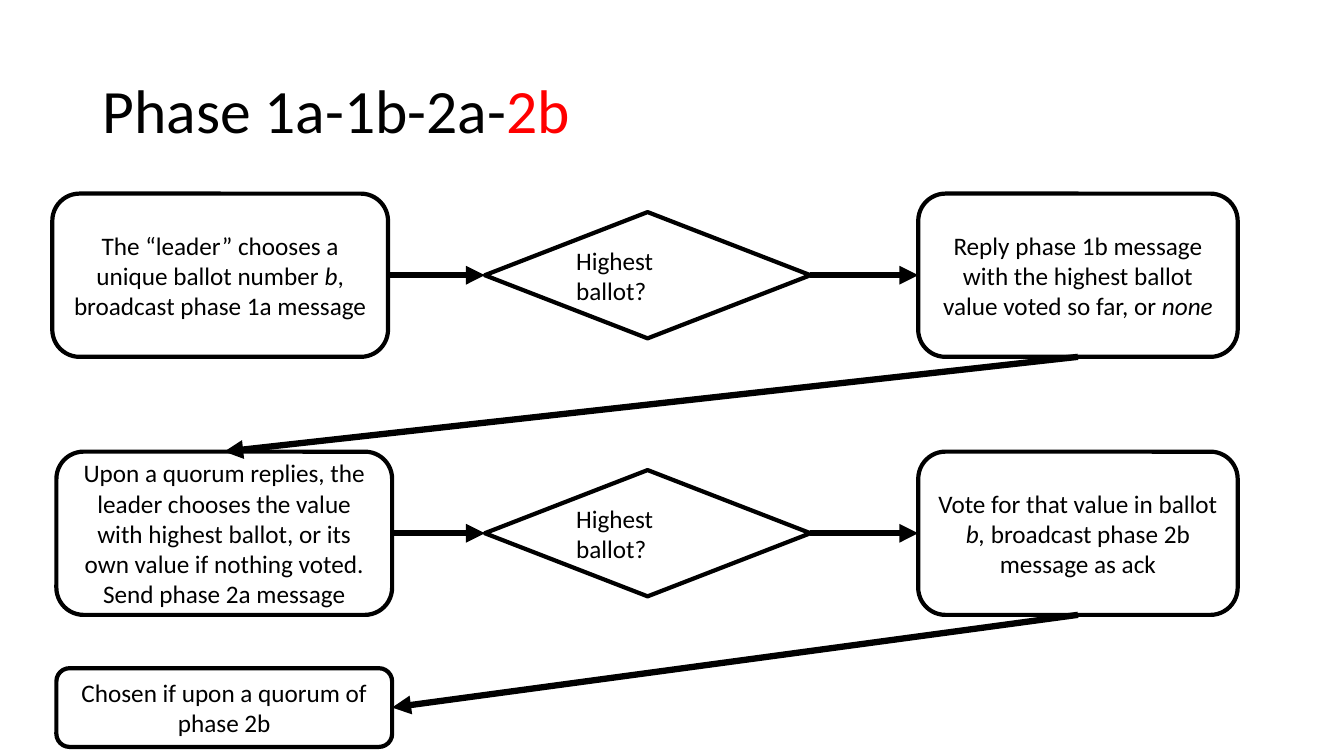
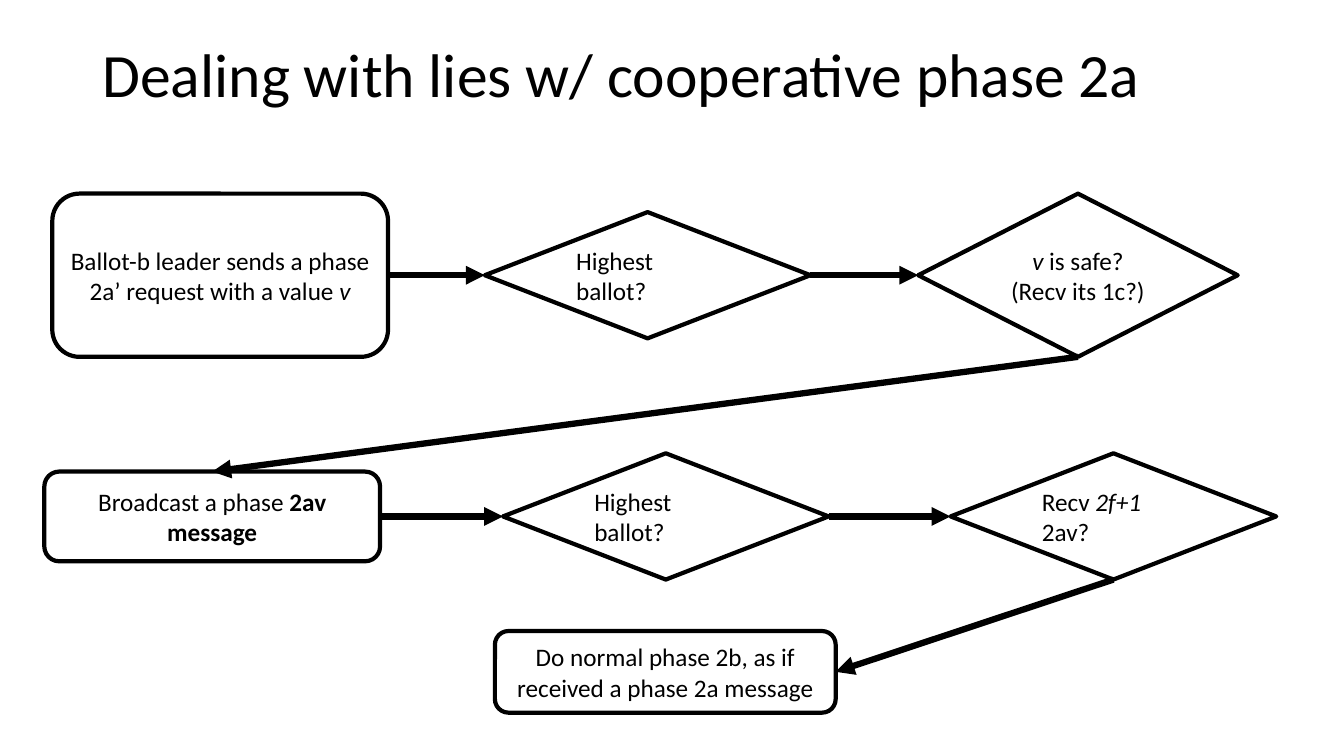
"""Build two flow-chart slides on the phases of a ballot protocol."""
from dataclasses import dataclass

import lxml.etree
import pptx
import pptx.dml.color
import pptx.enum.shapes
import pptx.enum.text
import pptx.oxml
import pptx.oxml.ns
import pptx.presentation
import pptx.shapes.autoshape
import pptx.slide
import pptx.text.text
import pptx.util

Pt = pptx.util.Pt
Kind = pptx.enum.shapes.MSO_SHAPE
Align = pptx.enum.text.PP_ALIGN

FONT = "Calibri"
INK = "000000"
ACCENT = "FF0000"
TITLE_SIZE = 44
STEP_SIZE = 18
OUTLINE = 3
ARROW = 4.5

FIRST_ROW = 196.6
BOX_WIDTH = 239.8
BOX_HEIGHT = 116.6
REPLY_WIDTH = 228.2
CHECK_WIDTH = 232.6
CHECK_HEIGHT = 90.2
START_LEFT = 37.4
CHECK_LEFT = 346.3
REPLY_LEFT = 655.9

TOP, LEFT, BOTTOM, RIGHT = range(4)


@dataclass(frozen=True)
class Words:
    text: str
    italic: bool = False
    bold: bool = False
    color: str = INK


@dataclass(frozen=True)
class Step:
    """One node of the flow, placed by its left edge and vertical middle."""
    left: float
    middle: float
    width: float
    height: float
    lines: tuple[tuple[Words, ...], ...]
    kind: Kind = Kind.ROUNDED_RECTANGLE
    align: Align = Align.CENTER


@dataclass(frozen=True)
class Arrow:
    """A link between two steps, given by name and connection site."""
    source: str
    target: str
    leave: int = RIGHT
    enter: int = LEFT


@dataclass(frozen=True)
class Flow:
    title: tuple[Words, ...]
    title_bottom_inset: float
    steps: dict[str, Step]
    arrows: tuple[Arrow, ...]


def rgb(value: str) -> pptx.dml.color.RGBColor:
    """Turn a hex string into a colour."""
    return pptx.dml.color.RGBColor.from_string(value)


def check(left: float, middle: float, *words: Words) -> Step:
    """Describe a decision with left-aligned words."""
    return Step(left, middle, CHECK_WIDTH, CHECK_HEIGHT,
                (words or (Words("Highest ballot?"),),),
                Kind.FLOWCHART_DECISION, Align.LEFT) if not words else Step(
                    left, middle, CHECK_WIDTH, CHECK_HEIGHT, (words,),
                    Kind.FLOWCHART_DECISION, Align.LEFT)


def box(left: float, middle: float, *words: Words,
        width: float = BOX_WIDTH, height: float = BOX_HEIGHT) -> Step:
    """Describe a rounded box with one centred paragraph."""
    return Step(left, middle, width, height, (words,))


def write(paragraph: pptx.text.text._Paragraph, words: tuple[Words, ...],
          size: float, align: Align) -> None:
    """Fill a paragraph run by run."""
    paragraph.alignment = align
    for part in words:
        run = paragraph.add_run()
        run.text = part.text
        run.font.name = FONT
        run.font.size = Pt(size)
        run.font.italic = part.italic
        run.font.bold = part.bold
        run.font.color.rgb = rgb(part.color)


def draw_title(slide: pptx.slide.Slide, flow: Flow) -> None:
    """Place and write the title placeholder."""
    title = slide.shapes.title
    title.left, title.top = Pt(66), Pt(28.8)
    title.width, title.height = Pt(828), Pt(104.4)
    frame = title.text_frame
    frame.word_wrap = True
    frame.auto_size = pptx.enum.text.MSO_AUTO_SIZE.NONE
    frame.vertical_anchor = pptx.enum.text.MSO_ANCHOR.MIDDLE
    frame.margin_bottom = Pt(flow.title_bottom_inset)
    heading = frame.paragraphs[0]
    heading.line_spacing = 0.9
    heading.space_before = Pt(0)
    write(heading, flow.title, TITLE_SIZE, Align.LEFT)


def draw_step(slide: pptx.slide.Slide,
              step: Step) -> pptx.shapes.autoshape.Shape:
    """Draw one outlined step with its words."""
    node = slide.shapes.add_shape(
        step.kind, Pt(step.left), Pt(step.middle - step.height / 2),
        Pt(step.width), Pt(step.height))
    node.shadow.inherit = False
    node.fill.background()
    node.line.color.rgb = rgb(INK)
    node.line.width = Pt(OUTLINE)
    frame = node.text_frame
    frame.word_wrap = True
    frame.vertical_anchor = pptx.enum.text.MSO_ANCHOR.MIDDLE
    for index, words in enumerate(step.lines):
        paragraph = frame.add_paragraph() if index else frame.paragraphs[0]
        write(paragraph, words, STEP_SIZE, step.align)
    return node


def draw_arrow(slide: pptx.slide.Slide, arrow: Arrow,
               nodes: dict[str, pptx.shapes.autoshape.Shape]) -> None:
    """Join two drawn steps with a straight arrow."""
    link = slide.shapes.add_connector(
        pptx.enum.shapes.MSO_CONNECTOR.STRAIGHT, Pt(0), Pt(0), Pt(0), Pt(0))
    link.begin_connect(nodes[arrow.source], arrow.leave)
    link.end_connect(nodes[arrow.target], arrow.enter)
    link.line.color.rgb = rgb(INK)
    link.line.width = Pt(ARROW)
    qn = pptx.oxml.ns.qn
    properties = link._element.spPr
    lxml.etree.SubElement(properties.find(qn("a:ln")), qn("a:tailEnd"),
                          type="triangle")
    lxml.etree.SubElement(properties, qn("a:effectLst"))


def draw_flow(deck: pptx.presentation.Presentation, flow: Flow) -> None:
    """Add one slide with its title, steps and arrows."""
    slide = deck.slides.add_slide(deck.slide_layouts.get_by_name("Title Only"))
    draw_title(slide, flow)
    nodes = {name: draw_step(slide, step) for name, step in flow.steps.items()}
    for arrow in flow.arrows:
        draw_arrow(slide, arrow, nodes)


HIGHEST = Words("Highest ballot?")
VOTE_ROW = 380.9
VOTE_LEFT = 40.3
BROADCAST_ROW = 368.9

PHASES = Flow(
    title=(Words("Phase 1a-1b-2a-"), Words("2b", color=ACCENT)),
    title_bottom_inset=3.6,
    steps={
        "prepare": box(
            START_LEFT, FIRST_ROW,
            Words("The “leader” chooses a unique ballot number "),
            Words("b", italic=True), Words(", broadcast phase 1a message")),
        "prepare check": check(CHECK_LEFT, FIRST_ROW, HIGHEST),
        "reply": box(
            REPLY_LEFT, FIRST_ROW,
            Words("Reply phase 1b message with the highest ballot value "
                  "voted so far, or "),
            Words("none", italic=True), width=REPLY_WIDTH),
        "propose": box(
            VOTE_LEFT, VOTE_ROW,
            Words("Upon a quorum replies, the leader chooses the value with "
                  "highest ballot, or its own value if nothing voted. "
                  "Send phase 2a message")),
        "propose check": check(CHECK_LEFT, VOTE_ROW, HIGHEST),
        "vote": box(
            REPLY_LEFT, VOTE_ROW, Words("Vote for that value in ballot "),
            Words("b, ", italic=True),
            Words("broadcast phase 2b message as ack"), width=REPLY_WIDTH),
        "chosen": box(
            VOTE_LEFT, 505.4, Words("Chosen if upon a quorum of phase 2b"),
            height=56.2),
    },
    arrows=(
        Arrow("prepare", "prepare check"),
        Arrow("prepare check", "reply"),
        Arrow("reply", "propose", BOTTOM, TOP),
        Arrow("propose", "propose check"),
        Arrow("propose check", "vote"),
        Arrow("vote", "chosen", BOTTOM, RIGHT),
    ),
)

LIES = Flow(
    title=(Words("Dealing with lies w/ cooperative phase 2a"),),
    title_bottom_inset=55,
    steps={
        "request": box(
            START_LEFT, FIRST_ROW,
            Words("Ballot-b leader sends a phase 2a’ request with a value "),
            Words("v", italic=True)),
        "request check": check(CHECK_LEFT, FIRST_ROW, HIGHEST),
        "safe": Step(
            REPLY_LEFT, FIRST_ROW, REPLY_WIDTH, BOX_HEIGHT,
            ((Words("v ", italic=True), Words("is safe?")),
             (Words("(Recv its 1c?)"),)), Kind.DIAMOND),
        "broadcast": box(
            31.7, BROADCAST_ROW, Words("Broadcast a phase "),
            Words("2av message", bold=True), height=64.1),
        "broadcast check": check(359.3, BROADCAST_ROW, HIGHEST),
        "received": check(
            679, BROADCAST_ROW, Words("Recv "), Words("2f+1", italic=True),
            Words(" 2av?")),
        "continue": box(
            353.5, 479.9,
            Words("Do normal phase 2b, as if received a phase 2a message"),
            width=243.4, height=58.3),
    },
    arrows=(
        Arrow("request", "request check"),
        Arrow("request check", "safe"),
        Arrow("safe", "broadcast", BOTTOM, TOP),
        Arrow("broadcast", "broadcast check"),
        Arrow("broadcast check", "received"),
        Arrow("received", "continue", BOTTOM, RIGHT),
    ),
)


def main() -> None:
    """Build and save the deck."""
    deck = pptx.Presentation()
    deck.slide_width, deck.slide_height = Pt(960), Pt(540)
    for flow in (PHASES, LIES):
        draw_flow(deck, flow)
    deck.save("out.pptx")


main()
